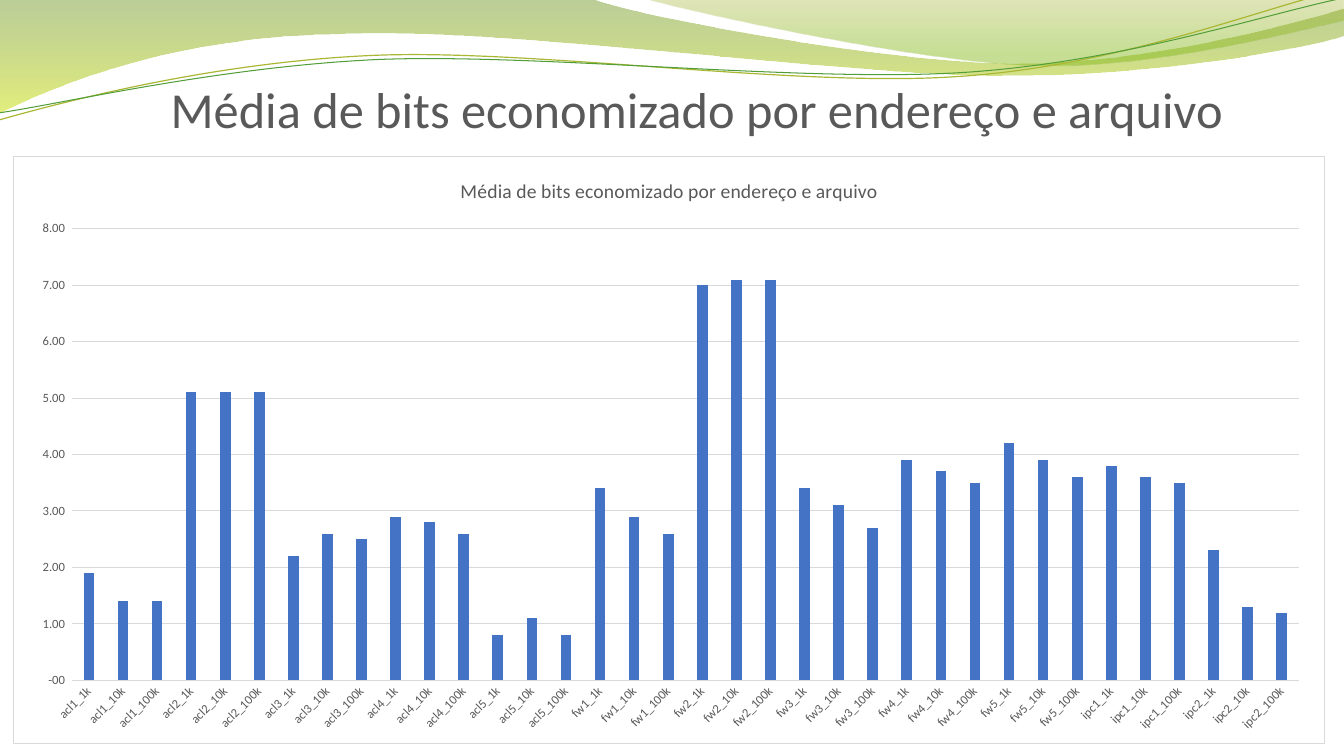
from pptx import Presentation
from pptx.chart.data import CategoryChartData
from pptx.dml.color import RGBColor
from pptx.enum.chart import XL_CHART_TYPE, XL_TICK_MARK
from pptx.enum.text import MSO_ANCHOR, PP_ALIGN
from pptx.oxml import parse_xml
from pptx.oxml.ns import nsdecls, qn
from pptx.util import Inches, Pt

FONT = "Calibri"
BLACK = RGBColor(0x00, 0x00, 0x00)
WHITE = RGBColor(0xFF, 0xFF, 0xFF)
GRAY = RGBColor(0x59, 0x59, 0x59)
GRID = RGBColor(0xD9, 0xD9, 0xD9)
BAR_BLUE = RGBColor(0x44, 0x72, 0xC4)
OLIVE = RGBColor(0xA9, 0xB7, 0x33)
GREEN = RGBColor(0x54, 0x9E, 0x39)
DEEP_GREEN = RGBColor(0x69, 0x92, 0x1C)
YELLOW = RGBColor(0xCC, 0xE1, 0x0F)
MOSS = RGBColor(0x9B, 0xAA, 0x1A)
LIME = RGBColor(0x81, 0xBA, 0x16)

HEADING = "Média de bits economizado por endereço e arquivo"
NUMBER_FORMAT = '" "#,##0.00" ";"-"#,##0.00" ";" -"00" ";'

BANDS = [
    ([(0, 0), (5.87, -0.01),
      (6.34, 0.17, 8.84, 0.63, 10.11, 0.63),
      (11.37, 0.63, 12.77, 0.26, 13.33, 0.09),
      (13.34, 0.36),
      (13.11, 0.44, 11.59, 0.76, 9.94, 0.75),
      (8.29, 0.75, 5.09, 0.28, 3.43, 0.34),
      (1.72, 0.36, 0.61, 0.83, -0.02, 1.13)],
     [(0, DEEP_GREEN, 45), (100, YELLOW, 55)]),
    ([(6.38, -0.01),
      (6.79, 0.11, 9.09, 0.62, 10.25, 0.65),
      (11.4, 0.69, 12.82, 0.32, 13.33, 0.21),
      (13.33, 0)],
     [(0, MOSS, 30), (80, LIME, 45)]),
]
STRANDS = [
    ([(-0.01, 1.19),
      (0.63, 1.01, 2.1, 0.62, 3.69, 0.55),
      (5.27, 0.48, 7.89, 0.87, 9.49, 0.76),
      (11.1, 0.66, 12.51, 0.08, 13.3, -0.1)], OLIVE, 0.85),
    ([(-0.01, 1.12),
      (0.62, 1.03, 2.18, 0.66, 3.77, 0.59),
      (5.37, 0.53, 7.96, 0.82, 9.55, 0.72),
      (11.14, 0.62, 12.55, 0.14, 13.33, -0.02)], GREEN, 0.75),
]

SAVED_BITS = {
    "acl1": (1.9, 1.4, 1.4), "acl2": (5.1, 5.1, 5.1),
    "acl3": (2.2, 2.6, 2.5), "acl4": (2.9, 2.8, 2.6),
    "acl5": (0.8, 1.1, 0.8), "fw1": (3.4, 2.9, 2.6),
    "fw2": (7, 7.1, 7.1), "fw3": (3.4, 3.1, 2.7),
    "fw4": (3.9, 3.7, 3.5), "fw5": (4.2, 3.9, 3.6),
    "ipc1": (3.8, 3.6, 3.5), "ipc2": (2.3, 1.3, 1.2),
}
FILE_SIZES = ("1k", "10k", "100k")


def apply(target, values):
    for name, value in values.items():
        setattr(target, name, value)


def style_font(font, size, color=GRAY):
    apply(font, {"name": FONT, "size": Pt(size), "bold": False})
    font.color.rgb = color


def add_outline(slide, left, top, segments, closed):
    anchors = [(left + Inches(s[-2]), top + Inches(s[-1])) for s in segments]
    builder = slide.shapes.build_freeform(*anchors[0])
    builder.add_line_segments(anchors[1:], close=closed)
    outline = builder.convert_to_shape()
    outline.shadow.inherit = False
    straight_lines = list(outline.element.iter(qn("a:lnTo")))
    for straight, segment in zip(straight_lines, segments[1:]):
        if len(segment) == 6:
            points = "".join(
                f'<a:pt x="{left + Inches(x) - outline.left}" '
                f'y="{top + Inches(y) - outline.top}"/>'
                for x, y in zip(segment[::2], segment[1::2]))
            curve = parse_xml(f'<a:cubicBezTo {nsdecls("a")}>{points}'
                              '</a:cubicBezTo>')
            straight.getparent().replace(straight, curve)
    return outline


def fill_gradient(shape, stops):
    shape.fill.background()
    empty_fill = shape.element.spPr.find(qn("a:noFill"))
    stop_xml = "".join(
        f'<a:gs pos="{position * 1000}"><a:srgbClr val="{color}">'
        f'<a:alpha val="{opacity * 1000}"/></a:srgbClr></a:gs>'
        for position, color, opacity in stops)
    gradient = parse_xml(
        f'<a:gradFill {nsdecls("a")} rotWithShape="1"><a:gsLst>{stop_xml}'
        '</a:gsLst><a:lin ang="5400000" scaled="0"/></a:gradFill>')
    empty_fill.getparent().replace(empty_fill, gradient)


def add_waves(slide, left, top):
    for segments, stops in BANDS:
        band = add_outline(slide, left, top, segments, True)
        fill_gradient(band, stops)
        band.line.fill.background()
    for segments, color, width in STRANDS:
        strand = add_outline(slide, left, top, segments, False)
        strand.fill.background()
        strand.line.color.rgb = color
        strand.line.width = Pt(width)


def add_heading(slide, left, top, width, height):
    frame = slide.shapes.add_textbox(left, top, width, height).text_frame
    apply(frame, {"word_wrap": True, "vertical_anchor": MSO_ANCHOR.BOTTOM,
                  "margin_left": 0, "margin_right": 0,
                  "margin_top": Inches(0.05), "margin_bottom": 0})
    paragraph = frame.paragraphs[0]
    paragraph.alignment = PP_ALIGN.CENTER
    run = paragraph.add_run()
    run.text = HEADING
    style_font(run.font, 36)


def frame_chart(chart):
    border = parse_xml(
        f'<c:spPr {nsdecls("c", "a")}>'
        f'<a:solidFill><a:srgbClr val="{WHITE}"/></a:solidFill>'
        f'<a:ln w="{Pt(0.75)}"><a:solidFill><a:srgbClr val="{GRID}"/>'
        '</a:solidFill></a:ln></c:spPr>')
    chart.element.chart.addnext(border)


def add_bits_chart(slide, left, top, width, height):
    bits = CategoryChartData(number_format=NUMBER_FORMAT)
    bits.categories = [f"{rules}_{size}" for rules in SAVED_BITS
                       for size in FILE_SIZES]
    bits.add_series("Series 1", [value for row in SAVED_BITS.values()
                                 for value in row])
    chart = slide.shapes.add_chart(
        XL_CHART_TYPE.COLUMN_CLUSTERED, left, top, width, height, bits).chart
    style_font(chart.font, 10, BLACK)
    apply(chart, {"has_legend": False, "has_title": True})
    chart.chart_title.include_in_layout = False
    caption = chart.chart_title.text_frame
    caption.text = HEADING
    style_font(caption.paragraphs[0].runs[0].font, 14)

    plot = chart.plots[0]
    apply(plot, {"gap_width": 219, "overlap": -27, "vary_by_categories": False})
    plot.series[0].format.fill.solid()
    plot.series[0].format.fill.fore_color.rgb = BAR_BLUE

    files, scale = chart.category_axis, chart.value_axis
    for axis in (files, scale):
        apply(axis, {"major_tick_mark": XL_TICK_MARK.NONE,
                     "minor_tick_mark": XL_TICK_MARK.NONE})
        style_font(axis.tick_labels.font, 9)
    apply(scale, {"minimum_scale": 0, "maximum_scale": 8, "major_unit": 1,
                  "has_major_gridlines": True})
    apply(scale.tick_labels, {"number_format": NUMBER_FORMAT,
                              "number_format_is_linked": False})
    scale.format.line.fill.background()
    for line in (files.format.line, scale.major_gridlines.format.line):
        line.color.rgb = GRID
        line.width = Pt(0.75)
    label_body = next(chart.element.iter(qn("c:catAx"))).find(
        f'{qn("c:txPr")}/{qn("a:bodyPr")}')
    label_body.set("rot", "-2700000")
    label_body.set("vert", "horz")
    frame_chart(chart)


def main():
    deck = Presentation()
    apply(deck, {"slide_width": Inches(7.5) * 16 // 9,
                 "slide_height": Inches(7.5)})
    slide = deck.slides.add_slide(deck.slide_layouts[6])
    add_waves(slide, Inches(0), Inches(0))
    add_heading(slide, Inches(1.17), Inches(0.12), Inches(11.49), Inches(1.25))
    add_bits_chart(slide, Inches(0.13), Inches(1.55), Inches(13.02), Inches(5.83))
    deck.save("out.pptx")


if __name__ == "__main__":
    main()
